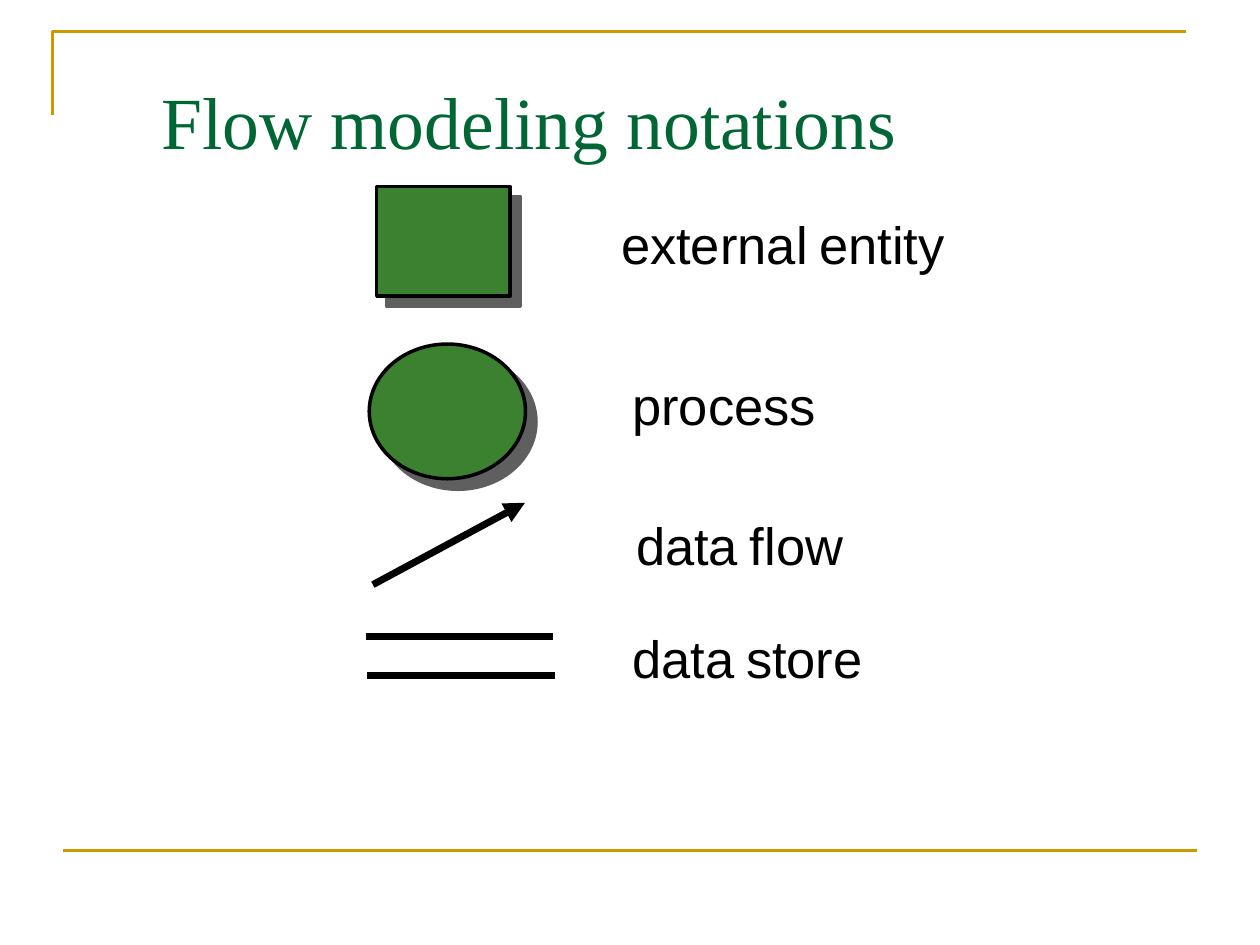
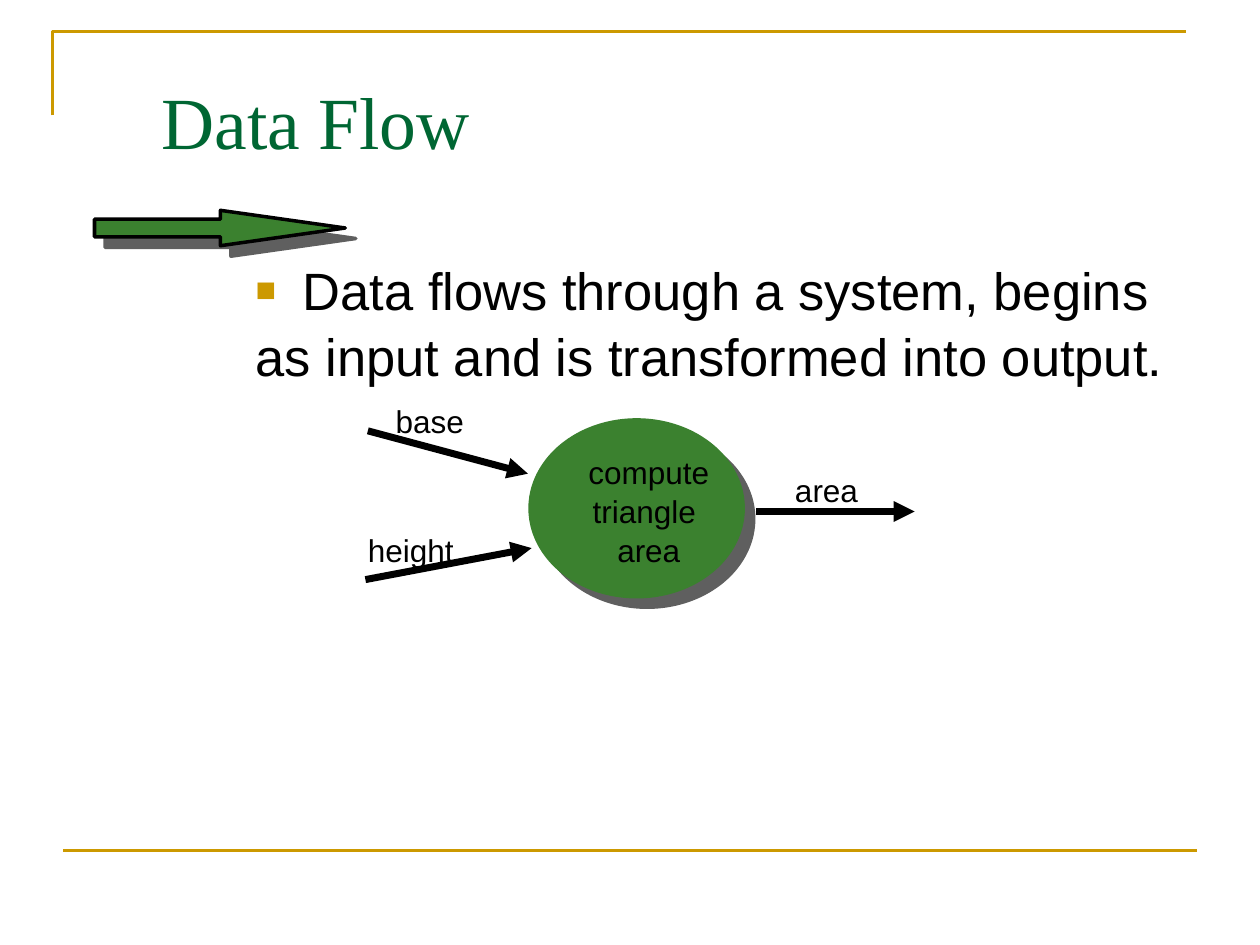
from lxml.etree import SubElement
from pptx import Presentation
from pptx.dml.color import RGBColor
from pptx.enum.shapes import MSO_CONNECTOR, MSO_SHAPE
from pptx.enum.text import MSO_ANCHOR, MSO_AUTO_SIZE, PP_ALIGN
from pptx.oxml.ns import qn
from pptx.util import Pt

GOLD = RGBColor(0xCC, 0x99, 0x00)
PINE = RGBColor(0x00, 0x66, 0x33)
LEAF = RGBColor(0x3B, 0x81, 0x2F)
GRAY = RGBColor(0x5F, 0x5F, 0x5F)
BLACK = RGBColor(0, 0, 0)
WHITE = RGBColor(255, 255, 255)

NOTES = {
    "title": "Flow modeling notations",
    "shapes": [
        (MSO_SHAPE.RECTANGLE, (215.3, 106.6, 76.3, 62.6), 2),
        (MSO_SHAPE.OVAL, (211, 196.6, 89.3, 77), 2),
    ],
    "arrows": [(213.1, 334.1, 300, 287.3)],
    "lines": [(209, 363.6, 316, 363.6), (210, 385.9, 317, 385.9)],
    "labels": [
        ("external entity", (347.8, 117.4, 199.4, 43.2)),
        ("process", (354.2, 209.5, 119.5, 43.2)),
        ("data flow", (356.4, 289.4, 132.5, 43.2)),
        ("data store", (354.2, 354.2, 146.2, 43.2)),
    ],
    "look": {"size": 30, "gap": 24},
}
FLOW = {
    "title": "Data Flow",
    "body": ["Data flows through a system, begins",
             "as input and is transformed into output."],
    "shapes": [
        (MSO_SHAPE.RIGHT_ARROW, (54, 120.2, 143.3, 20.2), 2),
        (MSO_SHAPE.OVAL, (301.9, 239, 123.8, 103), 0),
    ],
    "arrows": [(210.2, 246.2, 301.7, 270.7), (208.8, 331.2, 303.8, 313.2),
               (432, 292.3, 522.7, 292.3)],
    "lines": [],
    "labels": [
        ("compute\ntriangle \narea", (329, 254.2, 83.5, 93.6)),
        ("base", (218.9, 225.4, 53.3, 28.8)),
        ("height", (203, 298.8, 63.4, 28.8)),
        ("area", (447.1, 265, 50.4, 28.8)),
    ],
    "look": {"size": 18, "align": PP_ALIGN.CENTER, "pitch": 1.04},
}


def pts(vals):
    return [Pt(v) for v in vals]


def write(frame, text, size=18, font="Arial", color=BLACK, gap=None,
          align=PP_ALIGN.LEFT, pitch=None, wrap=False, bullet=False, hang=0):
    frame.word_wrap = wrap
    frame.auto_size = MSO_AUTO_SIZE.NONE
    for i, line in enumerate(text.split("\n")):
        para = frame.paragraphs[0] if i == 0 else frame.add_paragraph()
        para.alignment = align
        if pitch:
            para.line_spacing = pitch
        if hang:
            prop = para._p.get_or_add_pPr()
            prop.set("marL", str(Pt(hang)))
            prop.set("indent", str(-Pt(hang)))
            if bullet and i == 0:
                tint = SubElement(prop, qn("a:buClr"))
                SubElement(tint, qn("a:srgbClr"), val=str(GOLD))
                SubElement(prop, qn("a:buSzPct"), val="65000")
                SubElement(prop, qn("a:buFont"), typeface="Arial")
                SubElement(prop, qn("a:buChar"), char="■")
            else:
                SubElement(prop, qn("a:buNone"))
        for part in line.replace(" ", "| |").split("|") if gap else [line]:
            run = para.add_run()
            run.text = part
            run.font.size = Pt(gap if part == " " else size)
            run.font.name = font
            run.font.color.rgb = color


def label(slide, text, box, **look):
    write(slide.shapes.add_textbox(*pts(box)).text_frame, text, **look)


def figure(slide, kind, box, edge):
    shape = slide.shapes.add_shape(kind, *pts(box))
    shape.fill.solid()
    shape.fill.fore_color.rgb = LEAF
    if edge:
        shape.line.color.rgb = BLACK
        shape.line.width = Pt(edge)
    else:
        shape.line.fill.background()
    if kind == MSO_SHAPE.RIGHT_ARROW:
        shape.adjustments[1] = 3.53
    shape.shadow.inherit = False
    glow = shape._element.spPr.find(qn("a:effectLst"))
    cast = SubElement(glow, qn("a:outerShdw"), dist=str(Pt(8.5)),
                      dir="2700000", algn="ctr", rotWithShape="0")
    SubElement(cast, qn("a:srgbClr"), val=str(GRAY))


def stroke(slide, ends, color=BLACK, width=4, head=False):
    line = slide.shapes.add_connector(MSO_CONNECTOR.STRAIGHT, *pts(ends))
    line.line.color.rgb = color
    line.line.width = Pt(width)
    if head:
        SubElement(line.line._get_or_add_ln(), qn("a:tailEnd"), type="triangle")
    SubElement(line._element.spPr, qn("a:effectLst"))


def frame(slide):
    path = slide.shapes.build_freeform(Pt(30), Pt(66))
    path.add_line_segments([pts((30, 18)), pts((678, 18))], close=False)
    edge = path.convert_to_shape()
    edge.fill.background()
    edge.line.color.rgb = GOLD
    edge.line.width = Pt(1.5)
    edge.shadow.inherit = False
    stroke(slide, (36, 486, 684, 486), GOLD, 1.5)


def build(deck, data):
    slide = deck.slides.add_slide(deck.slide_layouts[5])
    slide.background.fill.solid()
    slide.background.fill.fore_color.rgb = WHITE
    frame(slide)
    title = slide.shapes.title
    title.left, title.top, title.width, title.height = pts((85, 34.5, 564, 67.7))
    title.text_frame.vertical_anchor = MSO_ANCHOR.MIDDLE
    write(title.text_frame, data["title"], size=42, font="Times New Roman",
          color=PINE, wrap=True)
    if "body" in data:
        label(slide, "\n".join(data["body"]), (139, 142.5, 557.3, 350),
              size=30, pitch=1.04, wrap=True, bullet=True, hang=27)
    for kind, box, edge in data["shapes"]:
        figure(slide, kind, box, edge)
    for ends in data["arrows"]:
        stroke(slide, ends, head=True)
    for ends in data["lines"]:
        stroke(slide, ends)
    for text, box in data["labels"]:
        label(slide, text, box, **data["look"])


def main():
    """Build the flow modeling slides."""
    deck = Presentation()
    deck.slide_width, deck.slide_height = pts((720, 540))
    for data in (NOTES, FLOW):
        build(deck, data)
    deck.save("out.pptx")


if __name__ == "__main__":
    main()
